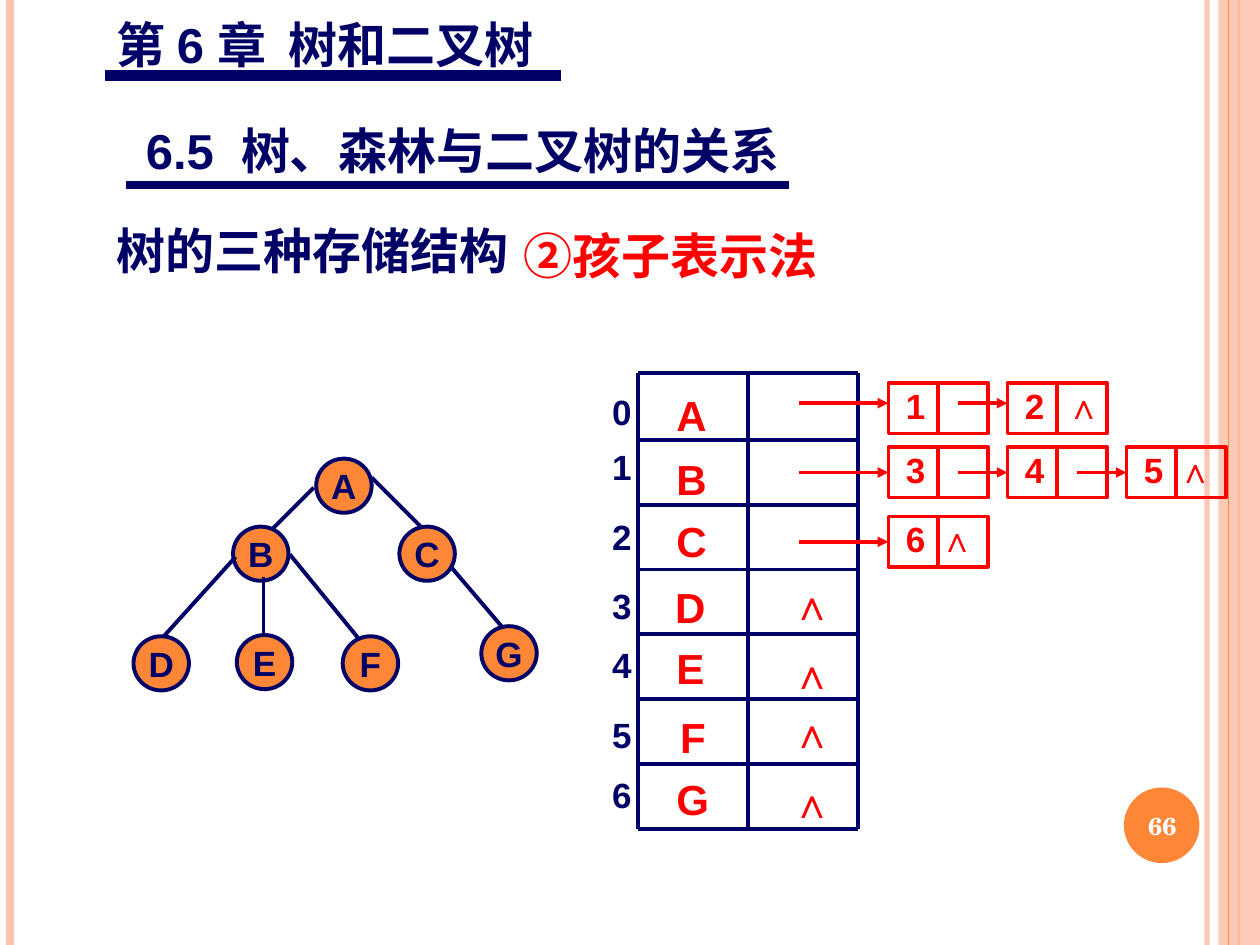
from lxml import etree
from pptx import Presentation
from pptx.dml.color import RGBColor
from pptx.enum.shapes import MSO_CONNECTOR, MSO_SHAPE
from pptx.enum.text import MSO_ANCHOR, MSO_AUTO_SIZE, PP_ALIGN
from pptx.oxml.ns import qn
from pptx.util import Pt

PX = 9144  # 100 px to the inch
COLORS = {"navy": "000066", "red": "FF0000", "orange": "FE8637",
          "peach": "FEC3AE", "white": "FFFFFF"}

# x, color, weight, opacity in percent
SIDE_RULES = [(958, "peach", 3, 93), (8, "peach", 4.5, 100), (983, "orange", 1.5, 100)]
INNER_RULE = (975, "orange", 0.75, 100)

# text, left, top, width, height, color, line spacing
HEADINGS = [
    ("6.5  树、森林与二叉树的关系", 106, 91, 543, 57, "navy", None),
    ("第 6 章  树和二叉树", 83, 7, 370, 57, "navy", None),
    ("树的三种存储结构", 83, 170, 347, 57, "navy", None),
    ("②孩子表示法", 406, 162, 260, 68, "red", 1.25),
]
UNDERLINES = [(100, 626, 147, 4.25), (83, 445, 60, 6)]  # from x, to x, y, weight

NODE_SIZE = (44, 43)
TREE_NODES = {"A": (251, 364), "B": (185, 418), "C": (317, 418), "D": (106, 505),
              "G": (382, 497), "E": (188, 504), "F": (272, 505)}
TREE_EDGES = [  # from x, from y, to x, to y, weight
    (249, 387, 216, 420, 2.25), (187, 442, 130, 505, 2.25), (295, 379, 335, 419, 2.25),
    (358, 450, 398, 497, 2.25), (230, 440, 284, 506, 2.25), (209, 458, 209, 505, 2),
]

ARRAY_COLUMNS = [506, 594, 681]
ARRAY_TOP, FIRST_RULE, ROW_HEIGHT, ROWS = 296, 349, 51.5, 7
ARRAY_BOTTOM = FIRST_RULE + ROW_HEIGHT * (ROWS - 1)
INDEX_TOPS = [305, 349, 404, 459, 506, 561, 609]
ARRAY_LETTERS = [("A", 527, 304, 44), ("B", 527, 355, 44), ("C", 527, 404, 44),
                 ("D", 526, 457, 44), ("E", 527, 505, 42), ("F", 530, 560, 40),
                 ("G", 527, 609, 46)]
NIL = "∧"
EMPTY_TOPS = [454, 509, 556, 611]

# children, box top, arrow y, offset of the end mark in the last box
CHAINS = [("12", 304, 320, 37), ("345", 355, 375, 31), ("6", 410, 430, 31)]
BOX_LEFT, BOX_STEP, BOX_WIDTH, BOX_HEIGHT = 705, 94.5, 79, 40
POINTER_START, NEXT_OFFSET = 634, 55


def emu(*lengths):
    return [round(length * PX) for length in lengths]


def rgb(color):
    return RGBColor.from_string(COLORS[color])


def set_opacity(properties, percent):
    color = next(properties.iter(qn("a:srgbClr")))
    etree.SubElement(color, qn("a:alpha")).set("val", str(percent * 1000))


def add_line(slide, x1, y1, x2, y2, color, weight, opacity=100, arrow=False):
    line = slide.shapes.add_connector(MSO_CONNECTOR.STRAIGHT, *emu(x1, y1, x2, y2))
    line.line.color.rgb = rgb(color)
    line.line.width = Pt(weight)
    properties = line._element.spPr
    if opacity < 100:
        set_opacity(properties, opacity)
    if arrow:
        etree.SubElement(properties.find(qn("a:ln")), qn("a:tailEnd")).set("type", "triangle")
    etree.SubElement(properties, qn("a:effectLst"))
    return line


def add_shape(slide, kind, left, top, width, height, fill=None, line=None, weight=1):
    shape = slide.shapes.add_shape(kind, *emu(left, top, width, height))
    shape.shadow.inherit = False
    if fill:
        shape.fill.solid()
        shape.fill.fore_color.rgb = rgb(fill)
    else:
        shape.fill.background()
    if line:
        shape.line.color.rgb = rgb(line)
        shape.line.width = Pt(weight)
    else:
        shape.line.fill.background()
    return shape


def write(shape, text, size, color, font="Arial", centered=False, wrap=True):
    frame = shape.text_frame
    frame.text = text
    frame.word_wrap = wrap
    paragraph = frame.paragraphs[0]
    if centered:
        frame.vertical_anchor = MSO_ANCHOR.MIDDLE
        paragraph.alignment = PP_ALIGN.CENTER
    run_font = paragraph.runs[0].font
    run_font.name, run_font.size, run_font.bold = font, Pt(size), True
    run_font.color.rgb = rgb(color)
    return paragraph


def add_text(slide, text, left, top, width, height, size, color, wrap=False):
    box = slide.shapes.add_textbox(*emu(left, top, width, height))
    paragraph = write(box, text, size, color, wrap=wrap)
    box.text_frame.auto_size = MSO_AUTO_SIZE.SHAPE_TO_FIT_TEXT
    return paragraph


def add_frame(slide):
    """Side stripes and the page number."""
    for x, *style in SIDE_RULES:
        add_line(slide, x, 0, x, 750, *style)
    stripe = add_shape(slide, MSO_SHAPE.RECTANGLE, 967, 0, 33, 750, "peach")
    set_opacity(stripe._element.spPr, 87)
    x, *style = INNER_RULE
    add_line(slide, x, 0, x, 750, *style)
    add_shape(slide, MSO_SHAPE.OVAL, 892, 625, 60, 60, "orange")
    number = slide.shapes.add_textbox(*emu(889, 627, 67, 57))
    write(number, "66", 14, "white", "TeX Gyre Schola", centered=True)


def add_headings(slide):
    for text, left, top, width, height, color, spacing in HEADINGS:
        paragraph = add_text(slide, text, left, top, width, height, 28, color, wrap=True)
        if spacing:
            paragraph.line_spacing = spacing
    for x1, x2, y, weight in UNDERLINES:
        add_line(slide, x1, y, x2, y, "navy", weight)


def add_tree(slide):
    for letter, position in TREE_NODES.items():
        node = add_shape(slide, MSO_SHAPE.OVAL, *position, *NODE_SIZE, "orange", "navy", 2.25)
        write(node, letter, 20, "navy", centered=True, wrap=False)
    for *ends, weight in TREE_EDGES:
        add_line(slide, *ends, "navy", weight)


def add_array(slide):
    left, right = ARRAY_COLUMNS[0], ARRAY_COLUMNS[-1]
    add_line(slide, left, ARRAY_TOP, right, ARRAY_TOP, "navy", 2)
    for row in range(ROWS):
        y = FIRST_RULE + ROW_HEIGHT * row
        add_line(slide, left, y, right, y, "navy", 2.25)
    for x in ARRAY_COLUMNS:
        add_line(slide, x, ARRAY_TOP, x, ARRAY_BOTTOM, "navy", 2.25)
    for index, top in enumerate(INDEX_TOPS):
        add_text(slide, str(index), 476, top, 35, 43, 20, "navy")
    for letter, x, top, width in ARRAY_LETTERS:
        add_text(slide, letter, x, top, width, 50, 24, "red")
    for top in EMPTY_TOPS:
        add_text(slide, NIL, 618, top, 34, 50, 24, "red", wrap=True)


def add_chain(slide, children, top, arrow_y, nil_offset):
    start = POINTER_START
    for position, child in enumerate(children):
        left = BOX_LEFT + BOX_STEP * position
        middle = left + BOX_WIDTH / 2
        box = add_shape(slide, MSO_SHAPE.RECTANGLE, left, top, BOX_WIDTH, BOX_HEIGHT,
                        line="red", weight=2)
        add_line(slide, middle, top, middle, top + BOX_HEIGHT, "red", 2)
        add_text(slide, child, left + 4, top - 4, 35, 43, 20, "red")
        arrow = add_line(slide, start, arrow_y, left, arrow_y, "red", 2, arrow=True)
        if arrow_y == top + BOX_HEIGHT / 2:
            arrow.end_connect(box, 1)
        start = left + NEXT_OFFSET
    add_text(slide, NIL, left + nil_offset, top - 4, 34, 43, 20, "red", wrap=True)


def main():
    presentation = Presentation()
    presentation.slide_width, presentation.slide_height = emu(1000, 750)
    slide = presentation.slides.add_slide(presentation.slide_layouts[6])
    add_frame(slide)
    add_headings(slide)
    add_tree(slide)
    add_array(slide)
    for chain in CHAINS:
        add_chain(slide, *chain)
    presentation.save("out.pptx")


if __name__ == "__main__":
    main()
